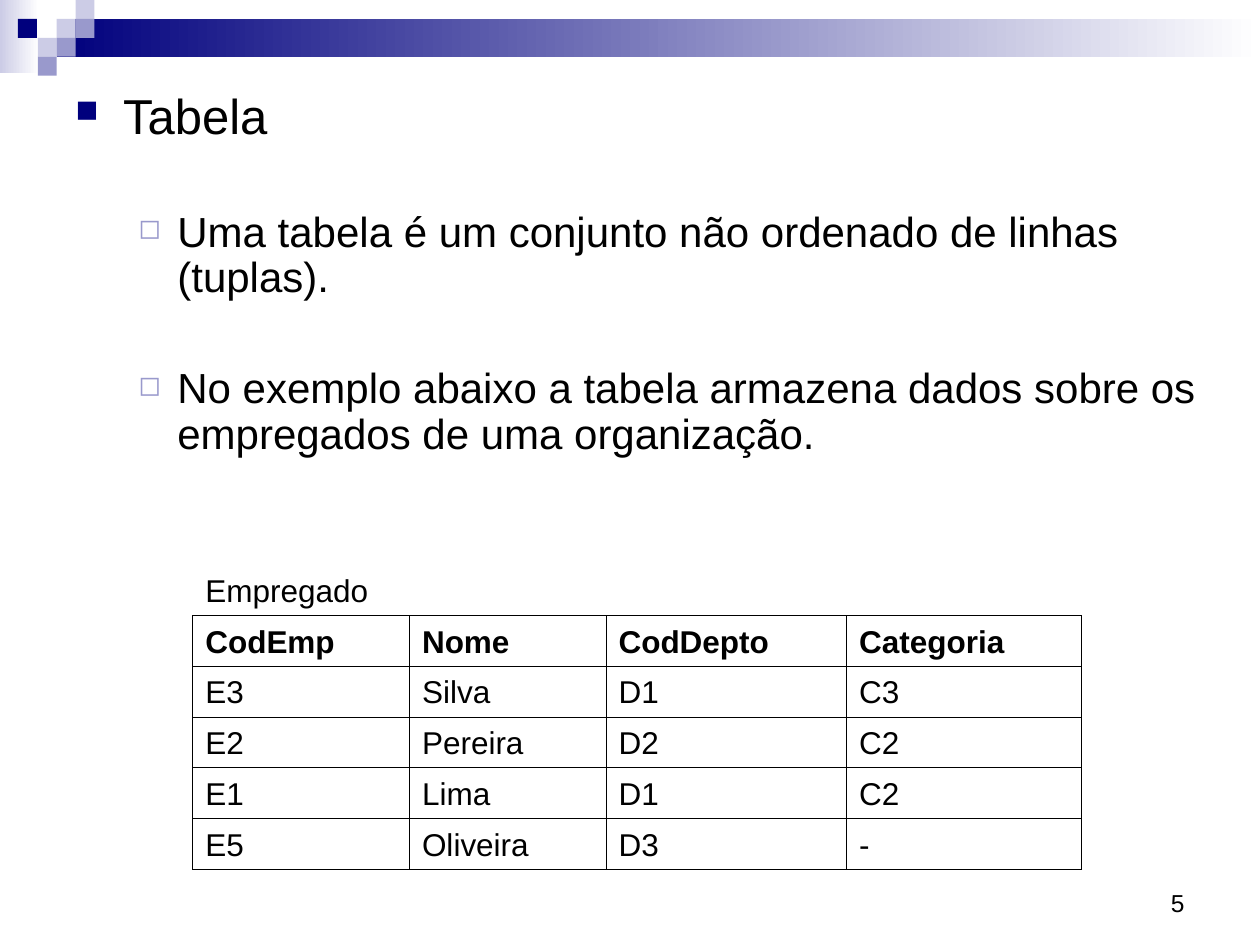
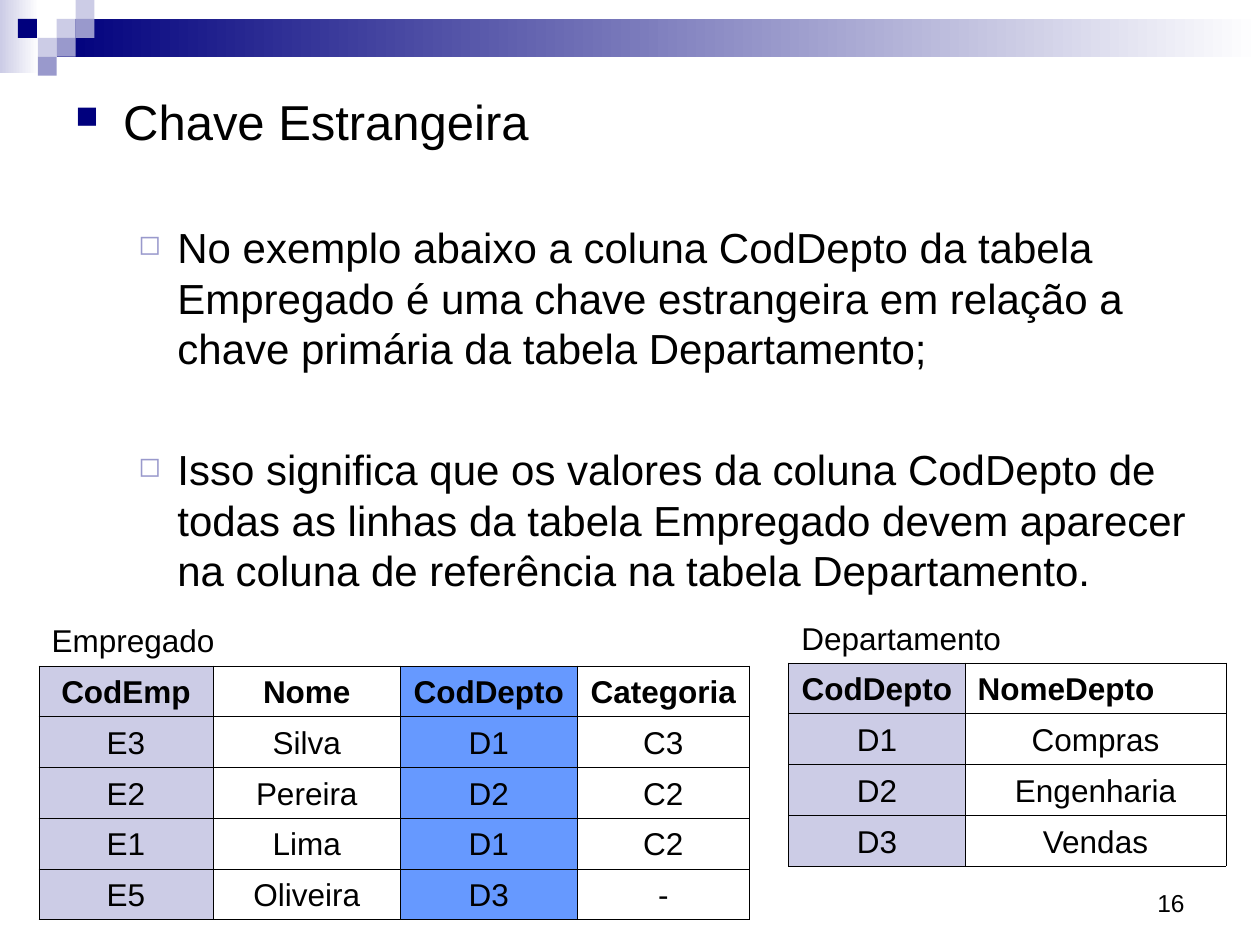
from lxml import etree
from pptx import Presentation
from pptx.dml.color import RGBColor
from pptx.enum.shapes import MSO_SHAPE
from pptx.enum.text import MSO_ANCHOR, PP_ALIGN
from pptx.oxml.ns import qn
from pptx.util import Inches, Pt

RECT = MSO_SHAPE.RECTANGLE
BOTTOM = MSO_ANCHOR.BOTTOM
LEFT, CENTER, RIGHT = PP_ALIGN.LEFT, PP_ALIGN.CENTER, PP_ALIGN.RIGHT

BLACK = RGBColor(0x00, 0x00, 0x00)
WHITE = RGBColor(0xFF, 0xFF, 0xFF)
NAVY = RGBColor(0x00, 0x00, 0x7D)
LILAC = RGBColor(0x99, 0x99, 0xCC)
PALE = RGBColor(0xCC, 0xCC, 0xE6)
BLUE = RGBColor(0x66, 0x99, 0xFF)

FONT = "Arial"
UNIT = Inches(0.1)
COLS, ROWS = 100, 75
SQUARE = 1.5
TABLE_ROW = 4.03
BORDER = Pt(0.45)
PLAIN_TABLE = "{2D5ABB26-0587-4C30-8999-92F81FD0307C}"

EMPLOYEES = [
    ["CodEmp", "Nome", "CodDepto", "Categoria"],
    ["E3", "Silva", "D1", "C3"],
    ["E2", "Pereira", "D2", "C2"],
    ["E1", "Lima", "D1", "C2"],
    ["E5", "Oliveira", "D3", "-"],
]
DEPARTMENTS = [
    ["CodDepto", "NomeDepto"],
    ["D1", "Compras"],
    ["D2", "Engenharia"],
    ["D3", "Vendas"],
]


def grid(*cells):
    """Convert grid units to slide lengths."""
    return [round(c * UNIT) for c in cells]


def write(p, text, size=18, bold=False, color=BLACK, align=LEFT, before=0, spacing=1):
    """Put formatted text into a paragraph."""
    p.alignment = align
    p.space_before = Pt(before)
    p.line_spacing = spacing
    r = p.add_run()
    r.text = text
    r.font.name = FONT
    r.font.size = Pt(size)
    r.font.bold = bold
    r.font.color.rgb = color


def add_bullet(p, char, color, percent, indent, hang):
    """Give a paragraph a hanging bullet."""
    pPr = p._p.get_or_add_pPr()
    pPr.set("marL", str(Inches(indent)))
    pPr.set("indent", str(-Inches(hang)))
    clr = etree.SubElement(pPr, qn("a:buClr"))
    etree.SubElement(clr, qn("a:srgbClr"), val=str(color))
    etree.SubElement(pPr, qn("a:buSzPct"), val=str(percent * 1000))
    etree.SubElement(pPr, qn("a:buChar"), char=char)


def add_textbox(s, box):
    """Add a wrapping text box and return its text frame."""
    tf = s.shapes.add_textbox(*grid(*box)).text_frame
    tf.word_wrap = True
    return tf


def add_rect(shapes, box, color, fade_to=None):
    """Add a borderless rectangle, solid or fading to the right."""
    sp = shapes.add_shape(RECT, *grid(*box))
    sp.shadow.inherit = False
    sp.line.fill.background()
    if fade_to is None:
        sp.fill.solid()
        sp.fill.fore_color.rgb = color
        return
    sp.fill.gradient()
    sp.fill.gradient_angle = 0
    for stop, stop_color in zip(sp.fill.gradient_stops, (color, fade_to)):
        stop.color.rgb = stop_color


def add_header(s):
    """Draw the fading bands and the mosaic of squares along the top."""
    shapes = s.shapes.add_group_shape().shapes
    add_rect(shapes, (0, 0, 3.1, 5.8), PALE, fade_to=WHITE)
    left = 3 * SQUARE
    add_rect(shapes, (left, SQUARE, COLS - left, 2 * SQUARE), NAVY, fade_to=WHITE)
    mosaic = [(3, 1, PALE), (4, 0, PALE), (4, 1, LILAC), (2, 2, PALE),
              (0.95, 1, NAVY), (3, 2, LILAC), (2, 3, LILAC)]
    for col, row, color in mosaic:
        add_rect(shapes, (col * SQUARE, row * SQUARE, SQUARE, SQUARE), color)


def add_page_number(s, number):
    """Write the page number at the bottom right."""
    tf = add_textbox(s, (71.7, ROWS - 6.7, 23.3, 5))
    tf.vertical_anchor = BOTTOM
    write(tf.paragraphs[0], str(number), size=14, align=RIGHT)


def add_body(s, box, topic, points, spacing):
    """Write a topic with its points, one line apart."""
    tf = add_textbox(s, box)
    p = tf.paragraphs[0]
    write(p, topic, size=28, before=7, spacing=spacing)
    add_bullet(p, "■", NAVY, 64, 0.38, 0.38)
    for point in points:
        p = tf.add_paragraph()
        write(p, point, size=24, before=12 + 28.6 * spacing, spacing=spacing)
        add_bullet(p, "◻", LILAC, 66, 0.81, 0.31)


def style_cell(cell, sides, color=None):
    """Draw the named borders of a cell and fill it."""
    tcPr = cell._tc.get_or_add_tcPr()
    for side in "LRTB":
        ln = etree.SubElement(tcPr, qn(f"a:ln{side}"), w=str(BORDER))
        if side in sides:
            fill = etree.SubElement(ln, qn("a:solidFill"))
            etree.SubElement(fill, qn("a:srgbClr"), val=str(BLACK))
        else:
            etree.SubElement(ln, qn("a:noFill"))
    if color is None:
        cell.fill.background()
    else:
        cell.fill.solid()
        cell.fill.fore_color.rgb = color
    cell.vertical_anchor = BOTTOM


def add_data_table(s, box, caption, rows, widths, fills=None, align=LEFT, left_heads=()):
    """Place a captioned table; fills maps column numbers to colours."""
    fills = fills or {}
    frame = s.shapes.add_table(len(rows) + 1, len(widths), *grid(*box))
    table = frame.table
    table.first_row = table.horz_banding = False
    table._tbl.tblPr.find(qn("a:tableStyleId")).text = PLAIN_TABLE
    for column, width in zip(table.columns, grid(*widths)):
        column.width = width
    caption_height = box[3] - TABLE_ROW * len(rows)
    heights = [caption_height] + [TABLE_ROW] * len(rows)
    for row, height in zip(table.rows, grid(*heights)):
        row.height = height

    for col in range(len(widths)):
        style_cell(table.cell(0, col), "B")
    table.cell(0, 0).merge(table.cell(0, 1))
    write(table.cell(0, 0).text_frame.paragraphs[0], caption)

    for i, values in enumerate(rows):
        head = i == 0
        for col, value in enumerate(values):
            cell = table.cell(i + 1, col)
            style_cell(cell, "LRTB", fills.get(col))
            cell_align = LEFT if head and value in left_heads else align
            write(cell.text_frame.paragraphs[0], value, bold=head, align=cell_align)


def add_slide(prs, number):
    """Add a blank slide with the shared header and page number."""
    s = prs.slides.add_slide(prs.slide_layouts[6])
    add_header(s)
    add_page_number(s, number)
    return s


def build_table_slide(prs):
    """Explain what a table is, with the employees as example."""
    s = add_slide(prs, 5)
    add_body(s, (5, 6.8, 92.3, 35), "Tabela", [
        "Uma tabela é um conjunto não ordenado de linhas (tuplas).",
        "No exemplo abaixo a tabela armazena dados sobre os empregados de uma organização.",
    ], spacing=0.9)
    add_data_table(s, (15.3, 40.6, 70.5, 28.4), "Empregado", EMPLOYEES,
                   (17.2, 15.6, 19.1, 18.6))


def build_foreign_key_slide(prs):
    """Explain the foreign key between employees and departments."""
    s = add_slide(prs, 16)
    add_body(s, (5, 6.8, 92.3, 42.9), "Chave Estrangeira", [
        "No exemplo abaixo a coluna CodDepto da tabela Empregado é uma chave "
        "estrangeira em relação a chave primária da tabela Departamento;",
        "Isso significa que os valores da coluna CodDepto de todas as linhas da tabela "
        "Empregado devem aparecer na coluna de referência na tabela Departamento.",
    ], spacing=1)
    add_data_table(s, (3.1, 44.6, 56.4, 28.4), "Empregado", EMPLOYEES,
                   (13.8, 14.9, 14, 13.7), fills={0: PALE, 2: BLUE}, align=CENTER)
    add_data_table(s, (62.6, 48.6, 34.7, 20.15), "Departamento", DEPARTMENTS,
                   (14, 20.7), fills={0: PALE}, align=CENTER, left_heads=("NomeDepto",))


def main():
    """Build and save the presentation."""
    prs = Presentation()
    prs.slide_width, prs.slide_height = grid(COLS, ROWS)
    build_table_slide(prs)
    build_foreign_key_slide(prs)
    prs.save("out.pptx")


if __name__ == "__main__":
    main()
